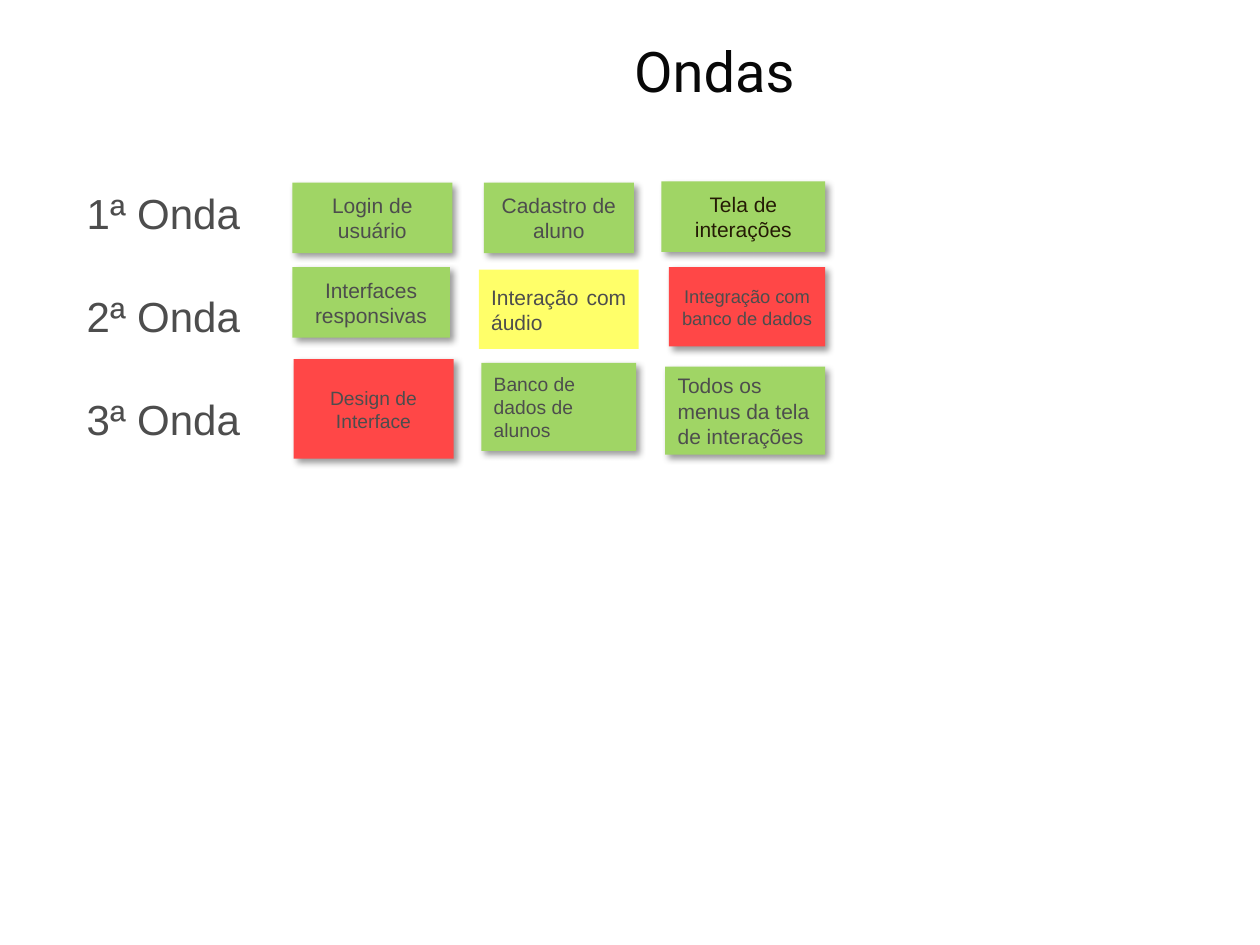
from lxml.etree import SubElement
from pptx import Presentation
from pptx.dml.color import RGBColor
from pptx.enum.shapes import MSO_SHAPE
from pptx.enum.text import MSO_ANCHOR, MSO_AUTO_SIZE, PP_ALIGN
from pptx.oxml.ns import qn
from pptx.util import Inches, Pt

BLACK = RGBColor(0x08, 0x08, 0x08)
GRAY = RGBColor(0x4D, 0x4D, 0x4D)
BROWN = RGBColor(0x25, 0x1B, 0x05)
GREEN = RGBColor(0xA0, 0xD5, 0x65)
RED = RGBColor(0xFF, 0x47, 0x47)
YELLOW = RGBColor(0xFF, 0xFF, 0x69)

LEFT, MID, JUST = PP_ALIGN.LEFT, PP_ALIGN.CENTER, PP_ALIGN.JUSTIFY

WAVES = ["1ª Onda", "2ª Onda", "3ª Onda"]
NOTES = [
    ("Login de usuário", (0, 0.01, 1.27, 0.56), GREEN, 12, MID, GRAY),
    ("Cadastro de aluno", (1.52, 0.01, 1.19, 0.56), GREEN, 12, MID, GRAY),
    ("Tela de interações", (2.93, 0, 1.3, 0.56), GREEN, 12, MID, BROWN),
    ("Interfaces responsivas", (0, 0.68, 1.25, 0.56), GREEN, 12, MID, GRAY),
    ("Interação com áudio", (1.48, 0.7, 1.27, 0.63), YELLOW, 12, JUST, GRAY),
    ("Integração com banco de dados", (2.99, 0.68, 1.24, 0.63), RED, 10.5, MID, GRAY),
    ("Design de Interface", (0.01, 1.41, 1.27, 0.79), RED, 11, MID, GRAY),
    ("Banco de dados de alunos", (1.5, 1.44, 1.23, 0.7), GREEN, 11, LEFT, GRAY),
    ("Todos os menus da tela de interações", (2.96, 1.47, 1.27, 0.7), GREEN, 12, LEFT, GRAY),
]


def style(para, size, color, align=LEFT, face="Arial"):
    para.alignment = align
    para.font.size = Pt(size)
    para.font.name = face
    para.font.color.rgb = color


def add_title(slide, left, top, width, height):
    title = slide.shapes.title
    title.left, title.top = Inches(left), Inches(top)
    title.width, title.height = Inches(width), Inches(height)
    frame = title.text_frame
    frame.text = "Ondas"
    frame.auto_size = MSO_AUTO_SIZE.NONE
    frame.vertical_anchor = MSO_ANCHOR.MIDDLE
    style(frame.paragraphs[0], 32, BLACK, MID, "Roboto")


def add_waves(slide, left, top, width, height):
    box = slide.shapes.add_textbox(
        Inches(left), Inches(top), Inches(width), Inches(height))
    frame = box.text_frame
    frame.word_wrap = True
    frame.text = "\n".join(WAVES)
    for para in frame.paragraphs:
        style(para, 24, GRAY)
    for para in frame.paragraphs[1:]:
        para.space_before = Pt(30)


def add_shadow(shape):
    effects = shape._element.spPr.find(qn("a:effectLst"))
    shadow = SubElement(
        effects, qn("a:outerShdw"), blurRad=str(Pt(4)), dist=str(Pt(3)),
        dir="2700000", algn="tl", rotWithShape="0")
    color = SubElement(shadow, qn("a:srgbClr"), val="000000")
    SubElement(color, qn("a:alpha"), val="40000")


def add_notes(slide, left, top):
    for text, (x, y, width, height), fill, size, align, color in NOTES:
        note = slide.shapes.add_shape(
            MSO_SHAPE.RECTANGLE, Inches(left + x), Inches(top + y),
            Inches(width), Inches(height))
        note.fill.solid()
        note.fill.fore_color.rgb = fill
        note.line.fill.background()
        note.shadow.inherit = False
        if fill != YELLOW:
            add_shadow(note)
        frame = note.text_frame
        frame.word_wrap = True
        frame.vertical_anchor = MSO_ANCHOR.MIDDLE
        frame.text = text
        style(frame.paragraphs[0], size, color, align)


def main():
    deck = Presentation()
    deck.slide_width, deck.slide_height = Inches(10), Inches(7.5)
    slide = deck.slides.add_slide(deck.slide_layouts[5])
    add_title(slide, 1.77, 0.28, 7.8, 0.56)
    add_waves(slide, 0.59, 1.44, 1.46, 2.93)
    add_notes(slide, 2.32, 1.44)
    deck.save("out.pptx")


if __name__ == "__main__":
    main()
